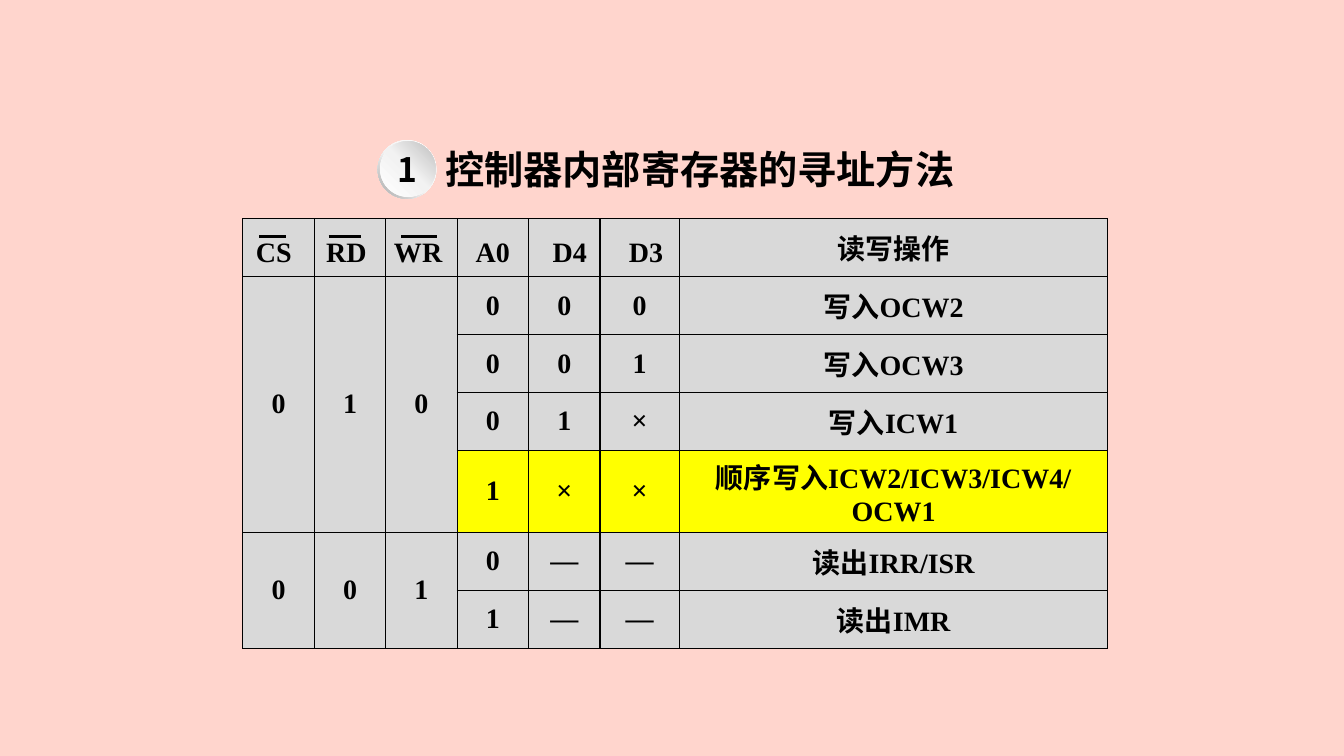
from dataclasses import dataclass
from typing import NamedTuple

from lxml.etree import SubElement
from pptx import Presentation
from pptx.dml.color import RGBColor as Color
from pptx.enum.shapes import MSO_CONNECTOR as Connector
from pptx.enum.shapes import MSO_SHAPE as Preset
from pptx.enum.text import MSO_ANCHOR as Anchor
from pptx.enum.text import MSO_AUTO_SIZE as AutoSize
from pptx.enum.text import PP_ALIGN as Align
from pptx.oxml.ns import qn
from pptx.util import Cm, Pt


@dataclass(frozen=True)
class Theme:
    page: str = "FFD5CD"
    ink: str = "000000"
    cell: str = "D9D9D9"
    highlight: str = "FFFF00"
    title_size: int = 28
    badge_size: int = 24
    table_size: int = 20
    border: float = 1
    overbar: float = 2
    title_font: str = "Calibri"
    table_font: str = "Times New Roman"
    chinese_font: str = "Noto Sans CJK SC"


class Disc(NamedTuple):
    preset: Preset
    left: float
    top: float
    size: float
    stops: tuple
    angle: int


class Signal(NamedTuple):
    name: str
    tab: float
    bar: tuple = ()


class Access(NamedTuple):
    first_row: int
    last_row: int
    levels: str


THEME = Theme()
TITLE = "控制器内部寄存器的寻址方法"
DISCS = (
    Disc(Preset.DONUT, 9.52, 3.53, 1.48, ((0, "FFFFFF"), (55, "F2F2F2"), (100, "A6A6A6")), 135),
    Disc(Preset.OVAL, 9.58, 3.56, 1.4, ((0, "FFFFFF"), (51, "F2F2F2"), (100, "BFBFBF")), 315),
)
SIGNALS = (
    Signal("CS", 0, (6.53, 7.21)),
    Signal("RD", 1.77, (8.28, 9.09)),
    Signal("WR", 3.48, (10.11, 11.02)),
    Signal("A0", 5.54),
    Signal("D4", 7.48),
    Signal("D3", 9.4),
)
OPERATIONS = (
    ("", "", "", "读写操作"),
    ("0", "0", "0", "写入OCW2"),
    ("0", "0", "1", "写入OCW3"),
    ("0", "1", "×", "写入ICW1"),
    ("1", "×", "×", "顺序写入ICW2/ICW3/ICW4/OCW1"),
    ("0", "―", "―", "读出IRR/ISR"),
    ("1", "―", "―", "读出IMR"),
)
ACCESSES = (Access(1, 4, "010"), Access(5, 6, "001"))
HIGHLIGHT_ROW = 4
COLUMN_WIDTHS = (1.8,) * 5 + (2, 10.8)
ROW_HEIGHT = 1.46
OVERBAR_TOP = 5.95


def style(para, size: int, family: str, align: Align) -> None:
    para.alignment = align
    font = para.font
    font.size, font.name, font.bold = Pt(size), family, True
    font.color.rgb = Color.from_string(THEME.ink)
    defaults = para._p.get_or_add_pPr().find(qn("a:defRPr"))
    SubElement(defaults, qn("a:ea"), typeface=THEME.chinese_font)


def add_title(page) -> None:
    title = page.shapes.title
    title.left, title.top, title.width, title.height = Cm(10.97), Cm(3.53), Cm(14.96), Cm(1.45)
    frame = title.text_frame
    frame.text = TITLE
    frame.auto_size = AutoSize.NONE
    frame.vertical_anchor = Anchor.MIDDLE
    style(frame.paragraphs[0], THEME.title_size, THEME.title_font, Align.LEFT)


def add_disc(page, disc: Disc):
    shape = page.shapes.add_shape(
        disc.preset, Cm(disc.left), Cm(disc.top), Cm(disc.size), Cm(disc.size))
    shape.shadow.inherit = False
    shape.line.fill.background()
    shape.fill.gradient()
    shape.fill.gradient_angle = 360 - disc.angle
    stop_list = shape._element.spPr.find(qn("a:gradFill")).find(qn("a:gsLst"))
    stop_list.clear()
    for position, color in disc.stops:
        stop = SubElement(stop_list, qn("a:gs"), pos=str(position * 1000))
        SubElement(stop, qn("a:srgbClr"), val=color)
    return shape


def add_badge(page) -> None:
    ring, ball = (add_disc(page, disc) for disc in DISCS)
    ring.adjustments[0] = 0.05
    frame = ball.text_frame
    frame.margin_left = frame.margin_right = frame.margin_top = frame.margin_bottom = 0
    frame.vertical_anchor = Anchor.MIDDLE
    frame.text = "1"
    style(frame.paragraphs[0], THEME.badge_size, THEME.chinese_font, Align.CENTER)


def format_cell(cell, color: str) -> None:
    cell.vertical_anchor = Anchor.MIDDLE
    properties = cell._tc.get_or_add_tcPr()
    for side in ("lnL", "lnR", "lnT", "lnB"):
        line = SubElement(properties, qn(f"a:{side}"), w=str(Pt(THEME.border)))
        SubElement(SubElement(line, qn("a:solidFill")), qn("a:srgbClr"), val=THEME.ink)
    cell.fill.solid()
    cell.fill.fore_color.rgb = Color.from_string(color)


def write_cell(cell, text: str) -> None:
    cell.text = text
    style(cell.text_frame.paragraphs[0], THEME.table_size, THEME.table_font, Align.CENTER)


def add_register_table(page) -> None:
    rows, columns = len(OPERATIONS), len(COLUMN_WIDTHS)
    table = page.shapes.add_table(
        rows, columns, Cm(6.12), Cm(5.51), Cm(sum(COLUMN_WIDTHS)), Cm(rows * ROW_HEIGHT)).table
    table.first_row = table.horz_banding = False
    for column, width in zip(table.columns, COLUMN_WIDTHS):
        column.width = Cm(width)
    address_column = columns - len(OPERATIONS[0])
    for index, values in enumerate(OPERATIONS):
        table.rows[index].height = Cm(ROW_HEIGHT)
        for column in range(columns):
            marked = index == HIGHLIGHT_ROW and column >= address_column
            format_cell(table.cell(index, column), THEME.highlight if marked else THEME.cell)
        for column, text in enumerate(values, address_column):
            write_cell(table.cell(index, column), text)
    for access in ACCESSES:
        for column, level in enumerate(access.levels):
            top = table.cell(access.first_row, column)
            top.merge(table.cell(access.last_row, column))
            write_cell(top, level)


def add_signal_names(page) -> None:
    box = page.shapes.add_textbox(Cm(6.2), Cm(5.79), Cm(11.2), Cm(1.12))
    frame = box.text_frame
    frame.word_wrap = True
    frame.text = "\t".join(signal.name for signal in SIGNALS)
    para = frame.paragraphs[0]
    tabs = SubElement(para._p.get_or_add_pPr(), qn("a:tabLst"))
    for signal in SIGNALS[1:]:
        SubElement(tabs, qn("a:tab"), pos=str(Cm(signal.tab)), algn="l")
    style(para, THEME.table_size, THEME.table_font, Align.LEFT)


def add_overbar(page, start: float, end: float) -> None:
    bar = page.shapes.add_connector(
        Connector.STRAIGHT, Cm(start), Cm(OVERBAR_TOP), Cm(end), Cm(OVERBAR_TOP))
    bar.line.color.rgb = Color.from_string(THEME.ink)
    bar.line.width = Pt(THEME.overbar)
    SubElement(bar._element.spPr, qn("a:effectLst"))


def main() -> None:
    deck = Presentation()
    deck.slide_width, deck.slide_height = Cm(33.87), Cm(19.05)
    page = deck.slides.add_slide(deck.slide_layouts.get_by_name("Title Only"))
    page.background.fill.solid()
    page.background.fill.fore_color.rgb = Color.from_string(THEME.page)
    add_title(page)
    add_badge(page)
    add_register_table(page)
    add_signal_names(page)
    for signal in SIGNALS:
        if signal.bar:
            add_overbar(page, *signal.bar)
    deck.save("out.pptx")


if __name__ == "__main__":
    main()
